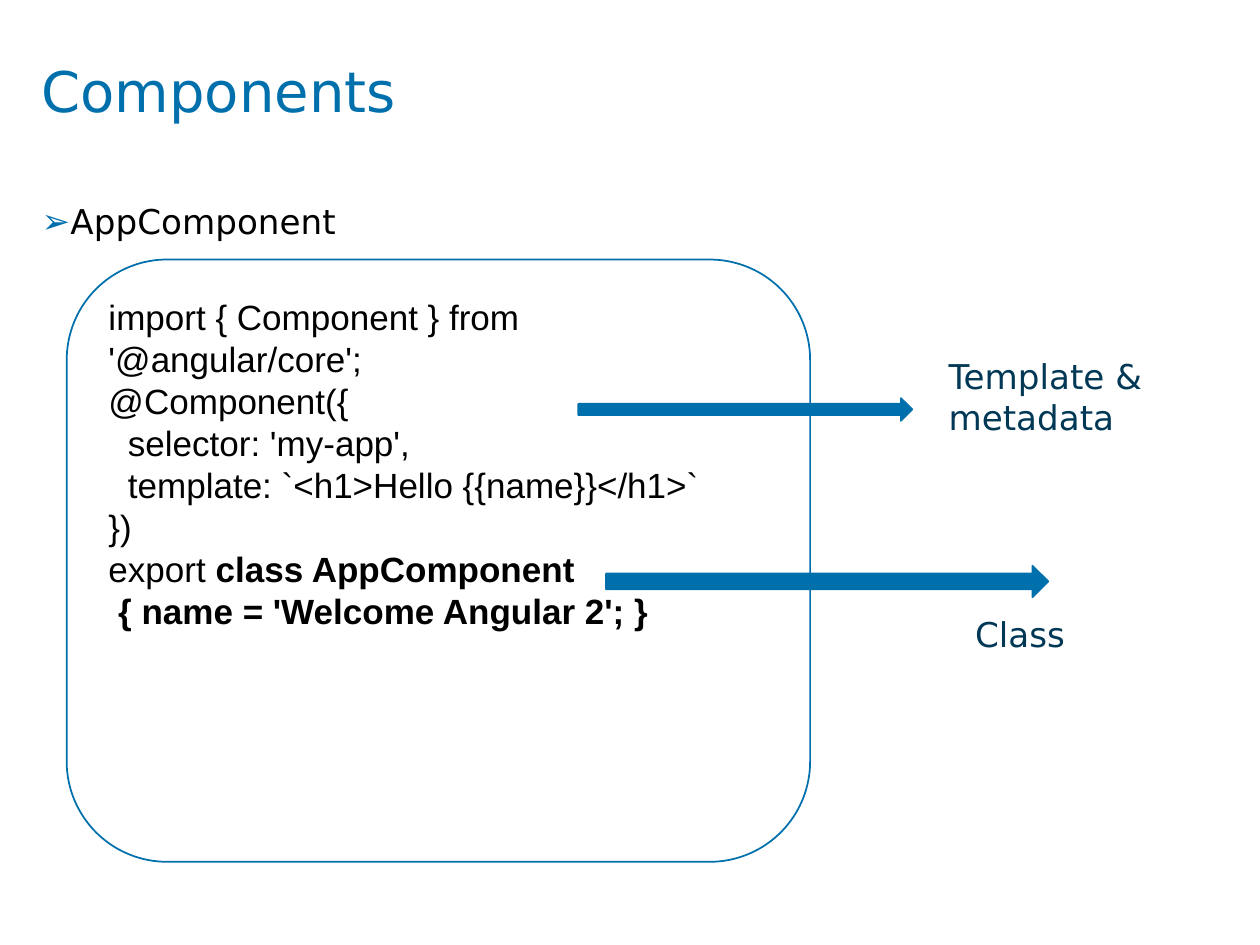
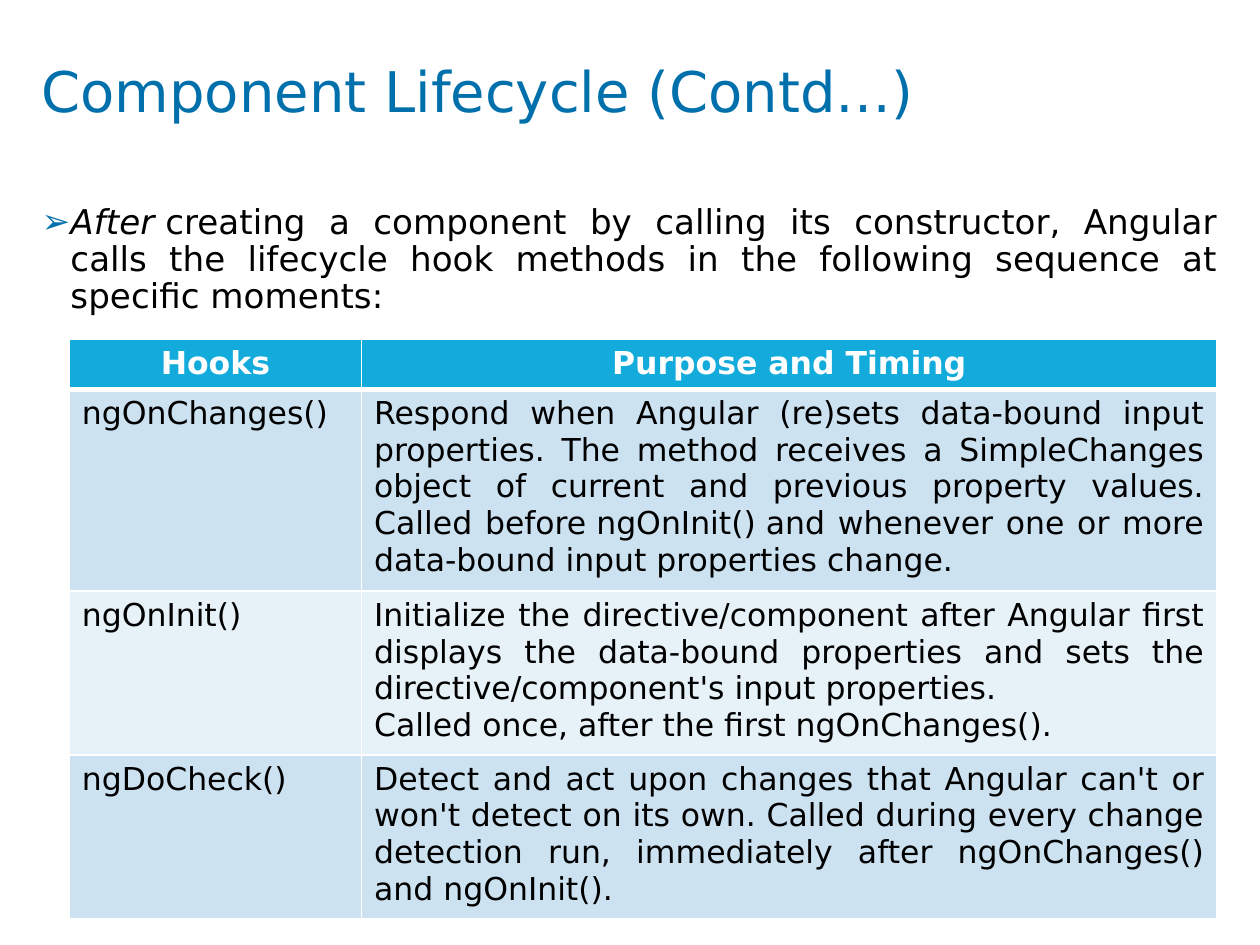
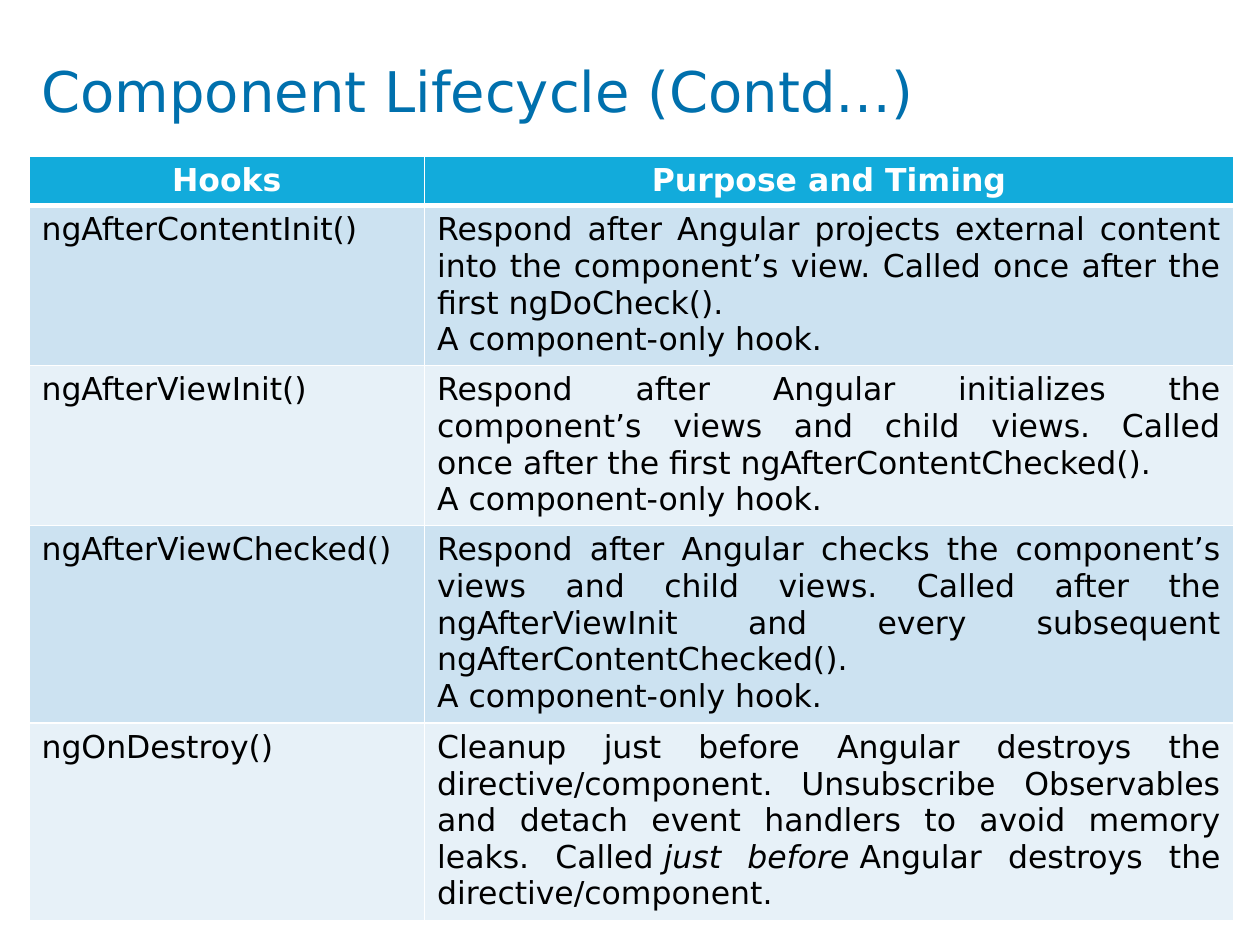
import pptx
import pptx.util
import pptx.dml.color
import pptx.enum.shapes
import pptx.enum.text
import pptx.oxml.ns
from lxml import etree

Inches = pptx.util.Inches
Pt = pptx.util.Pt
Align = pptx.enum.text.PP_ALIGN
Anchor = pptx.enum.text.MSO_ANCHOR
AutoSize = pptx.enum.text.MSO_AUTO_SIZE
Shape = pptx.enum.shapes.MSO_SHAPE
qn = pptx.oxml.ns.qn

COLORS = {
    "primary": "0070AD",
    "label": "003856",
    "header": "12ABDB",
    "band_dark": "CCE2F1",
    "band_light": "E7F1F8",
    "white": "FFFFFF",
    "black": "000000",
}
FONT = "DejaVu Sans"
CODE_FONT = "Arial"
BODY_SIZE = 19.5
LIFECYCLE_TITLE = "Component Lifecycle (Contd…)"
COMPONENT_HOOK = "A component-only hook."


def rgb(name):
    return pptx.dml.color.RGBColor.from_string(COLORS[name])


def add_span(para, text, size, color, font=FONT, bold=False, italic=False):
    span = para.add_run()
    span.text = text
    span.font.name = font
    span.font.size = Pt(size)
    span.font.color.rgb = rgb(color)
    span.font.bold = bold
    span.font.italic = italic


def write(frame, paragraphs, size, color, align=Align.LEFT, **style):
    for index, spans in enumerate(paragraphs):
        para = frame.paragraphs[0] if index == 0 else frame.add_paragraph()
        para.alignment = align
        for text, extra in spans:
            add_span(para, text, size, color, **{**style, **extra})


def plain(*lines):
    return [[(line, {})] for line in lines]


def clear_margins(frame):
    frame.margin_left = frame.margin_right = 0
    frame.margin_top = frame.margin_bottom = 0


def add_titled_page(deck, text):
    page = deck.slides.add_slide(deck.slide_layouts[5])
    title = page.shapes.title
    title.left, title.top = Inches(0.33), Inches(0.45)
    title.width, title.height = Inches(9.33), Inches(0.94)
    frame = title.text_frame
    clear_margins(frame)
    frame.word_wrap = True
    frame.auto_size = AutoSize.NONE
    frame.vertical_anchor = Anchor.TOP
    write(frame, plain(text), 32, "primary")
    return page


def add_bullet(page, spans):
    box = page.shapes.add_textbox(Inches(0.33), Inches(1.63), Inches(9.34), Inches(5.08))
    frame = box.text_frame
    clear_margins(frame)
    frame.word_wrap = True
    write(frame, [spans], BODY_SIZE, "black", Align.JUSTIFY)
    para = frame.paragraphs[0]
    para.line_spacing = 0.9
    para.space_before = Pt(7.5)
    properties = para._p.get_or_add_pPr()
    properties.set("marL", str(Inches(0.23)))
    properties.set("indent", str(-Inches(0.23)))
    bullet_color = etree.SubElement(properties, qn("a:buClr"))
    etree.SubElement(bullet_color, qn("a:srgbClr"), val=COLORS["primary"])
    etree.SubElement(properties, qn("a:buFont"), typeface=FONT)
    etree.SubElement(properties, qn("a:buChar"), char="➢")


def add_panel(page, kind, left, top, width, height, fill):
    panel = page.shapes.add_shape(kind, Inches(left), Inches(top), Inches(width), Inches(height))
    panel.shadow.inherit = False
    panel.fill.solid()
    panel.fill.fore_color.rgb = rgb(fill)
    panel.line.color.rgb = rgb("primary")
    panel.line.width = Pt(1)
    return panel


def add_code(page, paragraphs):
    panel = add_panel(page, Shape.ROUNDED_RECTANGLE, 0.53, 2.06, 5.9, 4.78, "white")
    frame = panel.text_frame
    frame.word_wrap = True
    frame.vertical_anchor = Anchor.TOP
    write(frame, paragraphs, 20, "black", font=CODE_FONT)


def add_label(page, text, left, top, width, height):
    box = page.shapes.add_textbox(Inches(left), Inches(top), Inches(width), Inches(height))
    box.text_frame.word_wrap = True
    box.text_frame.auto_size = AutoSize.SHAPE_TO_FIT_TEXT
    write(box.text_frame, plain(text), BODY_SIZE, "label")


def add_borders(cell, row):
    widths = {"L": 1, "R": 1, "T": 3 if row == 1 else 1, "B": 3 if row == 0 else 1}
    properties = cell._tc.get_or_add_tcPr()
    for side, width in widths.items():
        line = etree.SubElement(properties, qn("a:ln" + side), w=str(Pt(width)))
        fill = etree.SubElement(line, qn("a:solidFill"))
        etree.SubElement(fill, qn("a:srgbClr"), val=COLORS["white"])


def fill_cell(cell, row, paragraphs):
    add_borders(cell, row)
    cell.fill.solid()
    if row == 0:
        cell.fill.fore_color.rgb = rgb("header")
        write(cell.text_frame, paragraphs, 18, "white", Align.CENTER, bold=True)
    else:
        cell.fill.fore_color.rgb = rgb("band_dark" if row % 2 else "band_light")
        write(cell.text_frame, paragraphs, 18, "black", Align.JUSTIFY)


def add_hook_table(page, left, top, columns, heights, hooks):
    rows = [("Hooks", plain("Purpose and Timing"))] + hooks
    table = page.shapes.add_table(
        len(rows), len(columns), Inches(left), Inches(top),
        Inches(sum(columns)), Inches(sum(heights))).table
    for column, width in zip(table.columns, columns):
        column.width = Inches(width)
    for index, (hook, purpose) in enumerate(rows):
        table.rows[index].height = Inches(heights[index])
        fill_cell(table.cell(index, 0), index, plain(hook))
        fill_cell(table.cell(index, 1), index, purpose)


def build_components(deck):
    page = add_titled_page(deck, "Components")
    bold = {"bold": True}
    code = plain(
        "import { Component } from '@angular/core';",
        "@Component({",
        "  selector: 'my-app',",
        "  template: `<h1>Hello {{name}}</h1>`",
        "})",
    )
    code.append([("export ", {}), ("class AppComponent", bold)])
    code.append([(" { name = 'Welcome Angular 2'; }", bold)])
    add_code(page, code)
    add_bullet(page, [("AppComponent", {})])
    add_panel(page, Shape.RIGHT_ARROW, 4.59, 3.16, 2.65, 0.18, "primary")
    add_label(page, "Template & metadata", 7.43, 2.77, 1.96, 0.76)
    add_panel(page, Shape.RIGHT_ARROW, 4.81, 4.49, 3.51, 0.25, "primary")
    add_label(page, "Class", 7.64, 4.82, 1.86, 0.43)


def build_first_hooks(deck):
    page = add_titled_page(deck, LIFECYCLE_TITLE)
    add_bullet(page, [
        ("After", {"italic": True}),
        ("\u00a0creating a component by calling its constructor, Angular calls the "
         "lifecycle hook methods in the following sequence at specific moments:", {}),
    ])
    hooks = [
        ("ngOnChanges()", plain(
            "Respond when Angular (re)sets data-bound input properties. The method "
            "receives a SimpleChanges object of current and previous property values. "
            "Called before\u00a0ngOnInit()\u00a0and whenever one or more data-bound "
            "input properties change.")),
        ("ngOnInit()", plain(
            "Initialize the directive/component after Angular first displays the "
            "data-bound properties and sets the directive/component's input properties.",
            "Called\u00a0once, after the\u00a0first\u00a0ngOnChanges().")),
        ("ngDoCheck()", plain(
            "Detect and act upon changes that Angular can't or won't detect on its own. "
            "Called during every change detection run, immediately after ngOnChanges() "
            "and ngOnInit().")),
    ]
    add_hook_table(page, 0.55, 2.69, [2.32, 6.79], [0.39, 1.55, 1.26, 1.26], hooks)


def build_later_hooks(deck):
    page = add_titled_page(deck, LIFECYCLE_TITLE)
    hooks = [
        ("ngAfterContentInit()", plain(
            "Respond after Angular projects external content into the component’s view. "
            "Called once after the first ngDoCheck().",
            COMPONENT_HOOK)),
        ("ngAfterViewInit()", plain(
            "Respond after Angular initializes the component’s views and child views. "
            "Called once\u00a0after the first\u00a0ngAfterContentChecked().",
            COMPONENT_HOOK)),
        ("ngAfterViewChecked()", plain(
            "Respond after Angular checks the component’s views and child views. Called "
            "after the ngAfterViewInit and every subsequent ngAfterContentChecked().",
            COMPONENT_HOOK)),
        ("ngOnDestroy()", [[
            ("Cleanup just before Angular destroys the directive/component. Unsubscribe "
             "Observables and detach event handlers to avoid memory leaks. "
             "Called\u00a0", {}),
            ("just before", {"italic": True}),
            ("\u00a0Angular destroys the directive/component.", {}),
        ]]),
    ]
    add_hook_table(page, 0.23, 1.24, [3.14, 6.42], [0.39, 1.27, 1.27, 1.57, 1.57], hooks)


def main():
    deck = pptx.Presentation()
    deck.slide_width = Inches(10)
    deck.slide_height = Inches(7.5)
    build_components(deck)
    build_first_hooks(deck)
    build_later_hooks(deck)
    deck.save("out.pptx")


main()
